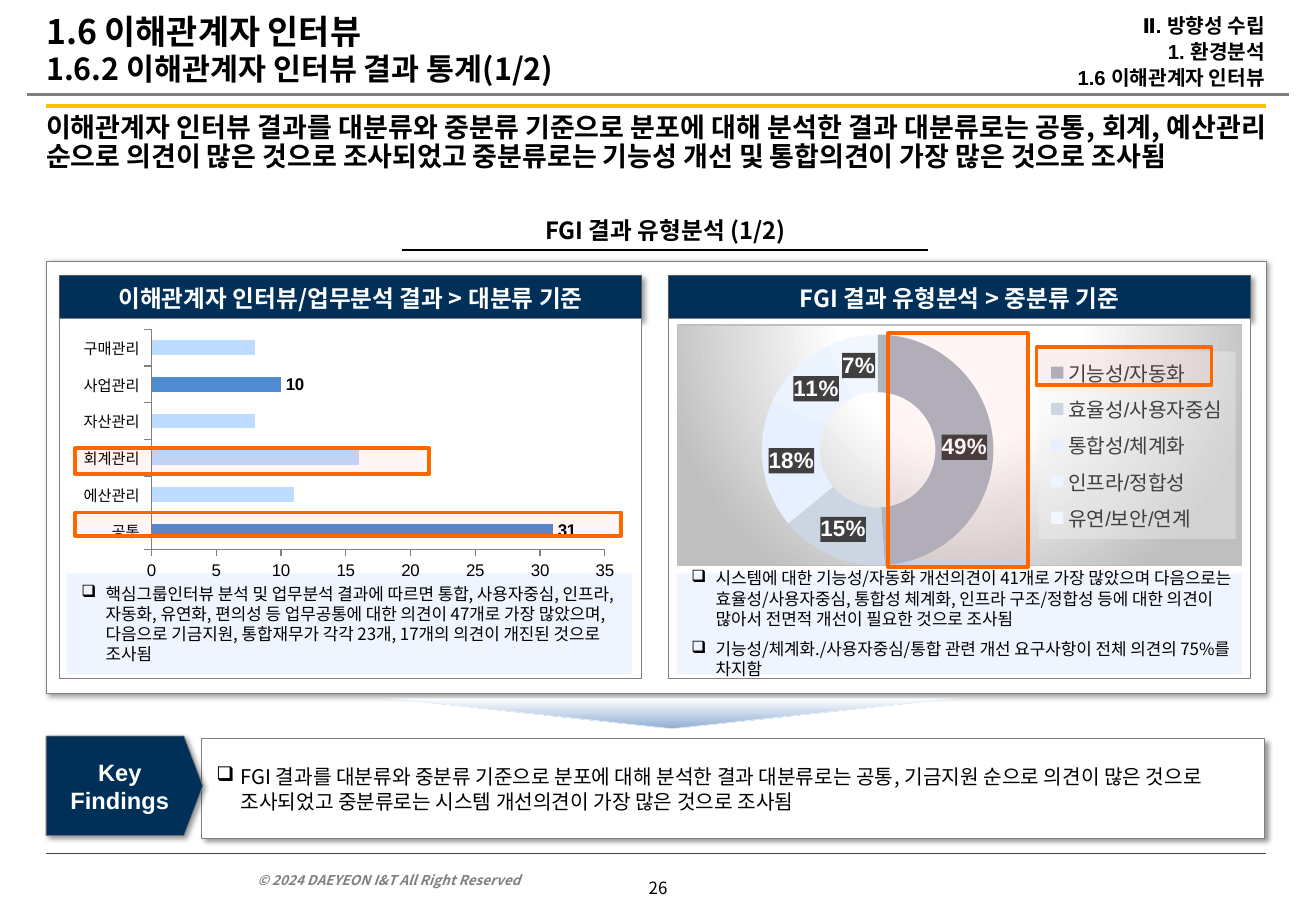
from lxml import etree
from pptx import Presentation
from pptx import util as u
from pptx.chart.data import CategoryChartData
from pptx.dml.color import RGBColor
from pptx.enum import chart as charts
from pptx.enum import shapes, text
from pptx.oxml import parse_xml
from pptx.oxml import ns

PX = 9144
KOREAN = "Noto Sans CJK KR"
LATIN = "Arial"
BLACK = RGBColor(0x00, 0x00, 0x00)
WHITE = RGBColor(0xFF, 0xFF, 0xFF)
GRAY = RGBColor(0x80, 0x80, 0x80)
DARK = RGBColor(0x40, 0x40, 0x40)
EDGE = RGBColor(0x59, 0x59, 0x59)
NAVY = RGBColor(0x00, 0x30, 0x58)
GOLD = RGBColor(0xFF, 0xC0, 0x00)
ORANGE = RGBColor(0xFF, 0x66, 0x00)
RED = RGBColor(0xFF, 0x00, 0x00)
NOTE_BLUE = RGBColor(0xEF, 0xF5, 0xFF)
ARROW_BLUE = RGBColor(0x8F, 0xAE, 0xD3)
ARROW_EDGE = RGBColor(0xE5, 0xEF, 0xFE)
BAR = RGBColor(0xBE, 0xDC, 0xFF)
BAR_STRONG = RGBColor(0x50, 0x8C, 0xD2)
LEGEND_BACK = RGBColor(0xF2, 0xF2, 0xF2)
RING = [RGBColor(0xAF, 0xB6, 0xC1), RGBColor(0xCC, 0xD5, 0xE2), RGBColor(0xE6, 0xF0, 0xFF),
        RGBColor(0xEC, 0xF4, 0xFF), RGBColor(0xF2, 0xF7, 0xFF)]
LEFT, CENTER, RIGHT, JUSTIFY = (text.PP_ALIGN.LEFT, text.PP_ALIGN.CENTER,
                                text.PP_ALIGN.RIGHT, text.PP_ALIGN.JUSTIFY)
MIDDLE, TOP, BOTTOM = text.MSO_ANCHOR.MIDDLE, text.MSO_ANCHOR.TOP, text.MSO_ANCHOR.BOTTOM
RECT = shapes.MSO_SHAPE.RECTANGLE
NOTE_INSETS = (12, 4, 8, 4)


def px(*lengths):
    """Turn px lengths into EMU."""
    return [length * PX for length in lengths]


def child(parent, tag, **attributes):
    """Append an XML element with the given attributes."""
    return etree.SubElement(parent, ns.qn(tag), {k: str(v) for k, v in attributes.items()})


def add_run(paragraph, words, size, font=KOREAN, color=BLACK, bold=False, italic=False):
    """Add one formatted run to a paragraph."""
    run = paragraph.add_run()
    run.text = words
    run.font.size, run.font.bold, run.font.italic = u.Pt(size), bold, italic
    run.font.color.rgb = color
    run.font.name = font
    child(run._r.get_or_add_rPr(), "a:ea", typeface=KOREAN)


def write(frame, *lines, align=LEFT, anchor=TOP, insets=(10, 5, 10, 5), bullet=None,
          pitch=None, gap=0, wrap=True, **font):
    """Fill a text frame with formatted paragraphs."""
    frame.word_wrap = wrap
    frame.auto_size = text.MSO_AUTO_SIZE.NONE
    frame.vertical_anchor = anchor
    frame.margin_left, frame.margin_top, frame.margin_right, frame.margin_bottom = px(*insets)
    for index, line in enumerate(lines):
        paragraph = frame.add_paragraph() if index else frame.paragraphs[0]
        properties = paragraph._p.get_or_add_pPr()
        indent = 20 * PX if bullet else 0
        properties.set("marL", str(indent))
        properties.set("indent", str(-indent))
        if bullet:
            child(child(properties, "a:buClr"), "a:srgbClr", val=BLACK)
            child(properties, "a:buChar", char=bullet)
        else:
            child(properties, "a:buNone")
        paragraph.alignment = align
        paragraph.space_before = u.Pt(gap if index else 0)
        if pitch:
            paragraph.line_spacing = u.Pt(pitch)
        add_run(paragraph, line, **font)


def add_text(slide, box, *lines, **style):
    """Add a text box."""
    write(slide.shapes.add_textbox(*px(*box)).text_frame, *lines, **style)


def fill_placeholder(holder, box, *lines, **style):
    """Move a placeholder and write into it."""
    holder.left, holder.top, holder.width, holder.height = px(*box)
    write(holder.text_frame, *lines, **style)


def add_box(slide, box, fill, line=None, width=0.5, kind=RECT, shadow=False, alpha=None):
    """Add a filled shape with optional outline, shadow and opacity."""
    shape = slide.shapes.add_shape(kind, *px(*box))
    shape.fill.solid()
    shape.fill.fore_color.rgb = fill
    if alpha:
        child(shape.element.spPr.find(".//" + ns.qn("a:srgbClr")), "a:alpha", val=alpha * 1000)
    if line is None:
        shape.line.fill.background()
    else:
        shape.line.color.rgb = line
        shape.line.width = u.Pt(width)
    shape.shadow.inherit = False
    if shadow:
        effects = shape.element.spPr.find(ns.qn("a:effectLst"))
        outer = child(effects, "a:outerShdw", blurRad=u.Pt(3), dist=u.Pt(2), dir=2700000,
                      algn="tl", rotWithShape=0)
        child(child(outer, "a:srgbClr", val=BLACK), "a:alpha", val=40000)
    return shape


def add_rule(slide, left, right, y, color, width):
    """Add a horizontal line."""
    rule = slide.shapes.add_connector(shapes.MSO_CONNECTOR.STRAIGHT, *px(left, y, right, y))
    rule.line.color.rgb = color
    rule.line.width = u.Pt(width)
    child(rule._element.spPr, "a:effectLst")


def add_down_arrow(slide):
    """Add the fading triangle that points to the findings."""
    arrow = add_box(slide, (322, 575, 462, 25), WHITE, ARROW_EDGE,
                    kind=shapes.MSO_SHAPE.ISOSCELES_TRIANGLE)
    arrow.rotation = 180
    arrow.fill.gradient()
    arrow.fill.gradient_angle = 270
    for stop, color, place in zip(arrow.fill.gradient_stops, (ARROW_BLUE, WHITE), (0, 1)):
        stop.color.rgb = color
        stop.position = place


def place_part(part, x, y, w, h, inner=False):
    """Give a plot area or legend a fixed place within its chart."""
    for old in part.findall(ns.qn("c:layout")):
        part.remove(old)
    layout = etree.Element(ns.qn("c:layout"))
    manual = child(layout, "c:manualLayout")
    if inner:
        child(manual, "c:layoutTarget", val="inner")
    for tag, value in (("xMode", "edge"), ("yMode", "edge"), ("x", x), ("y", y), ("w", w), ("h", h)):
        child(manual, "c:" + tag, val=value)
    if inner:
        part.insert(0, layout)
    else:
        part.find(ns.qn("c:legendPos")).addnext(layout)


def chart_fill(body):
    """Make chart shape properties from drawing XML."""
    return parse_xml(f'<c:spPr {ns.nsdecls("c", "a")}>{body}</c:spPr>')


def solid(color, alpha=100):
    """Return solid fill XML."""
    return (f'<a:solidFill><a:srgbClr val="{color}"><a:alpha val="{alpha * 1000}"/>'
            '</a:srgbClr></a:solidFill>')


def add_chart(slide, kind, box, categories, values, plot):
    """Add a one-series chart with a fixed plot area."""
    data = CategoryChartData()
    data.categories = categories
    data.add_series("Series 1", values)
    chart = slide.shapes.add_chart(kind, *px(*box), data).chart
    chart.has_title = chart.has_legend = False
    chart.font.name, chart.font.size, chart.font.color.rgb = LATIN, u.Pt(10), BLACK
    place_part(chart.element.find(".//" + ns.qn("c:plotArea")), *plot, inner=True)
    chart.plots[0].has_data_labels = True
    return chart


def add_major_chart(slide):
    """Add the bar chart of opinions by major class."""
    chart = add_chart(slide, charts.XL_CHART_TYPE.BAR_CLUSTERED, (61, 267, 455, 213),
                      ["공통", "에산관리", "회계관리", "자산관리", "사업관리", "구매관리"],
                      [31, 11, 16, 8, 10, 8], (0.14, 0.02, 0.82, 0.85))
    bars = chart.plots[0]
    bars.gap_width, bars.vary_by_categories = 150, False
    bars.data_labels.show_value = True
    bars.data_labels.font.size = u.Pt(10)
    bars.data_labels.position = charts.XL_LABEL_POSITION.OUTSIDE_END
    series = bars.series[0]
    series.format.fill.solid()
    series.format.fill.fore_color.rgb = BAR
    for index in (0, 4):
        point = series.points[index]
        point.format.fill.solid()
        point.format.fill.fore_color.rgb = BAR_STRONG
        point.data_label.font.bold, point.data_label.font.size = True, u.Pt(10)
        point.data_label.position = charts.XL_LABEL_POSITION.OUTSIDE_END
    for axis, size in ((chart.category_axis, 9), (chart.value_axis, 10)):
        axis.has_major_gridlines = False
        axis.major_tick_mark = charts.XL_TICK_MARK.OUTSIDE
        axis.tick_labels.font.size = u.Pt(size)
        axis.format.line.color.rgb = GRAY
    scale = chart.value_axis
    scale.minimum_scale, scale.maximum_scale, scale.major_unit = 0, 35, 5


def add_middle_chart(slide):
    """Add the ring chart of opinions by middle class."""
    chart = add_chart(slide, charts.XL_CHART_TYPE.DOUGHNUT, (557, 267, 465, 199),
                      ["기능성/자동화", "효율성/사용자중심", "통합성/체계화", "인프라/정합성",
                       "유연/보안/연계"], [49, 15, 18, 11, 7], (0.1, 0.04, 0.51, 0.96))
    ring = chart.plots[0]
    for index, color in enumerate(RING):
        wedge = ring.series[0].points[index].format
        wedge.fill.solid()
        wedge.fill.fore_color.rgb = color
        wedge.line.fill.background()
    labels = ring.data_labels
    labels.show_percentage, labels.show_value = True, False
    labels.number_format, labels.number_format_is_linked = "0%", False
    labels.font.size, labels.font.bold, labels.font.color.rgb = u.Pt(13.3), True, WHITE
    labels._element.find(ns.qn("c:txPr")).addprevious(chart_fill(solid(DARK)))
    chart.has_legend = True
    legend = chart.legend
    legend.position = charts.XL_LEGEND_POSITION.RIGHT
    legend.include_in_layout = False
    legend.font.size, legend.font.name, legend.font.color.rgb = u.Pt(12), LATIN, DARK
    place_part(legend._element, 0.64, 0.11, 0.35, 0.78)
    legend._element.find(ns.qn("c:txPr")).addprevious(chart_fill(solid(LEGEND_BACK, 39)))
    stops = "".join(f'<a:gs pos="{place}000"><a:srgbClr val="{color}"/></a:gs>'
                    for place, color in ((0, "FFFFFF"), (39, "FFFFFF"), (100, "BFBFBF")))
    chart.element.find(ns.qn("c:chart")).addnext(chart_fill(
        f'<a:gradFill><a:gsLst>{stops}</a:gsLst><a:path path="circle">'
        '<a:fillToRect l="50000" t="-80000" r="50000" b="180000"/></a:path></a:gradFill>'
        '<a:ln w="9525"><a:solidFill><a:srgbClr val="BFBFBF"/></a:solidFill></a:ln>'))


def add_panel(slide, left, heading, notes_left, notes):
    """Add a framed panel with its heading and notes."""
    header = add_box(slide, (left, 227, 479, 36), NAVY, EDGE, shadow=True)
    write(header.text_frame, heading, align=CENTER, anchor=MIDDLE, size=14, color=WHITE, bold=True)
    add_box(slide, (left, 262, 479, 297), WHITE, GRAY)
    remarks = add_box(slide, (notes_left, 472, 465, 83), NOTE_BLUE)
    write(remarks.text_frame, *notes, anchor=MIDDLE, insets=NOTE_INSETS, bullet="❑",
          pitch=12, gap=6, size=10)


def add_headings(slide):
    """Fill the title, the key message and the section trail."""
    title, message, trail = slide.placeholders
    fill_placeholder(title, (38, 0, 543, 85), "1.6 이해관계자 인터뷰", anchor=MIDDLE,
                     insets=(0, 0, 0, 0), pitch=21, size=20, bold=True)
    heading = title.text_frame.paragraphs[0]
    heading.add_line_break()
    add_run(heading, "1.6.2 이해관계자 인터뷰 결과 통계(1/2)", 18, bold=True)
    fill_placeholder(message, (38, 94, 1004, 68),
                     "이해관계자 인터뷰 결과를 대분류와 중분류 기준으로 분포에 대해 분석한 결과 대분류로는 "
                     "공통, 회계, 예산관리 순으로 의견이 많은 것으로 조사되었고 중분류로는 기능성 개선 및 "
                     "통합의견이 가장 많은 것으로 조사됨",
                     align=JUSTIFY, insets=(0, 0, 0, 0), pitch=17, size=16, bold=True)
    fill_placeholder(trail, (687, 0, 354, 86), "Ⅱ. 방향성 수립", "1. 환경분석",
                     "1.6 이해관계자 인터뷰", align=RIGHT, anchor=MIDDLE, insets=(0, 5, 0, 5),
                     pitch=13, gap=2.4, size=12, font=LATIN, bold=True)


def add_findings(slide):
    """Add the key findings band."""
    band = add_box(slide, (166, 608, 875, 82), WHITE, GRAY, shadow=True)
    write(band.text_frame,
          "FGI 결과를 대분류와 중분류 기준으로 분포에 대해 분석한 결과 대분류로는 공통, 기금지원 순으로 "
          "의견이 많은 것으로 조사되었고 중분류로는 시스템 개선의견이 가장 많은 것으로 조사됨",
          anchor=MIDDLE, insets=NOTE_INSETS, bullet="❑", pitch=15, size=12)
    tag = add_box(slide, (38, 606, 129, 82), NAVY, GRAY, kind=shapes.MSO_SHAPE.PENTAGON, shadow=True)
    tag.adjustments[0] = 0.19
    write(tag.text_frame, "Key Findings", align=CENTER, anchor=MIDDLE, size=14, font=LATIN,
          color=WHITE, bold=True)


def main():
    """Build the slide and save it."""
    deck = Presentation()
    deck.slide_width, deck.slide_height = px(1083, 750)
    slide = deck.slides.add_slide(deck.slide_layouts[3])
    add_headings(slide)
    for rule in ((22, 1061, 78, GRAY, 1.5), (38, 1042, 87, GOLD, 2.5), (38, 1042, 703, DARK, 0.5),
                 (331, 764, 206, BLACK, 1)):
        add_rule(slide, *rule)
    add_text(slide, (202, 709, 302, 27), "© 2024 DAEYEON I&T All Right Reserved", anchor=BOTTOM,
             size=8, color=GRAY, bold=True, italic=True)
    add_text(slide, (524, 718, 35, 27), "26", align=CENTER, insets=(6, 5, 6, 5), wrap=False, size=10)
    add_text(slide, (306, 173, 483, 34), "FGI 결과 유형분석 (1/2)", align=CENTER, size=14, bold=True)
    add_findings(slide)
    add_box(slide, (38, 215, 1004, 356), WHITE, GRAY, shadow=True)
    add_panel(slide, 49, "이해관계자 인터뷰/업무분석 결과 > 대분류 기준", 55, [
        "핵심그룹인터뷰 분석 및 업무분석 결과에 따르면 통합, 사용자중심, 인프라, 자동화, 유연화, "
        "편의성 등 업무공통에 대한 의견이 47개로 가장 많았으며, 다음으로 기금지원, 통합재무가 각각 "
        "23개, 17개의 의견이 개진된 것으로 조사됨"])
    add_panel(slide, 550, "FGI 결과 유형분석 > 중분류 기준", 557, [
        "시스템에 대한 기능성/자동화 개선의견이 41개로 가장 많았으며 다음으로는 효율성/사용자중심, "
        "통합성 체계화, 인프라 구조/정합성 등에 대한 의견이 많아서 전면적 개선이 필요한 것으로 조사됨",
        "기능성/체계화./사용자중심/통합 관련 개선 요구사항이 전체 의견의 75%를 차지함"])
    add_down_arrow(slide)
    add_major_chart(slide)
    add_middle_chart(slide)
    for highlight in ((62, 369, 291, 21), (62, 422, 449, 19), (853, 286, 144, 31),
                      (731, 274, 115, 193)):
        add_box(slide, highlight, RED, ORANGE, width=2.25, alpha=4)
    deck.save("out.pptx")


if __name__ == "__main__":
    main()
